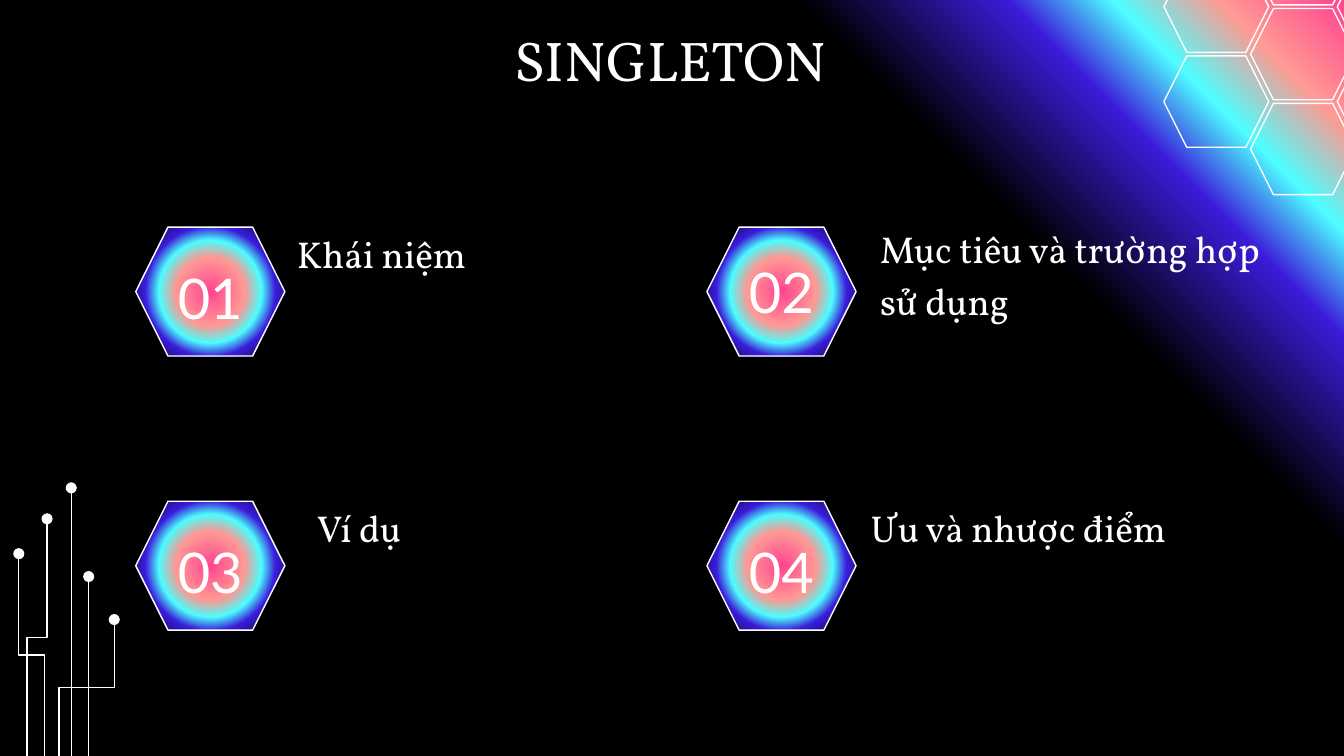
from lxml import etree
from pptx import Presentation
from pptx.dml.color import RGBColor
from pptx.enum import shapes, text
from pptx.oxml import ns
from pptx.util import Inches, Pt

WIDTH = 10
HEIGHT = WIDTH * 9 / 16
WHITE = "FFFFFF"
TITLE = "SINGLETON"

# Number, label, label box (left, top, width), number line spacing, label indent
TOPICS = [
    ("01", "Khái niệm", (2.11, 1.6, 2.55), 1.15, 0),
    ("02", "Mục tiêu và trường hợp sử dụng", (6.45, 1.95, 3.23), 1.0, 0),
    ("03", "Ví dụ", (2.11, 3.64, 2.55), 1.15, 0.15),
    ("04", "Ưu và nhược điểm", (6.38, 3.64, 2.55), 1.15, 0),
]
COLUMNS, ROWS = (1.01, 5.26), (1.69, 3.73)
BADGE = (1.11, 0.96)
NUMBER = (0.93, 0.7)

BACKGROUND_STOPS = [(0, "000000"), (74, "000000"), (84, "3A1DDB"),
                    (89, "4DFFFF"), (94, "FF9A94"), (100, "FF4491")]
BADGE_STOPS = [(0, "FF4491"), (35, "FF9A94"), (52, "4DFFFF"),
               (66, "3A1DDB"), (100, "000000")]
LINEAR = '<a:lin ang="18900000" scaled="0"/>'
RADIAL = ('<a:path path="circle"><a:fillToRect l="50000" t="50000" '
          'r="50000" b="50000"/></a:path>')

# Circuit traces: x at the bottom edge, x at the dot, y of the dot
TRACES = [(0.33, 0.14, 4.12), (0.2, 0.35, 3.86), (0.66, 0.66, 4.29),
          (0.53, 0.53, 3.63), (0.44, 0.85, 4.61)]

# Honeycomb cells: column and half-row steps
CELLS = [(1, -1), (2, 0), (1, 1), (0, 0), (2, 2), (0, 2), (1, 3)]
COMB_LEFT, COMB_TOP = 8.66, -0.29
COLUMN_STEP, HALF_ROW = 0.645, 0.353


def color(value):
    return RGBColor.from_string(value)


def box(*lengths):
    return [Inches(length) for length in lengths]


def set_gradient(parent, stops, direction):
    """Replace the solid fill of parent by a gradient."""
    items = "".join(f'<a:gs pos="{position * 1000}"><a:srgbClr val="{value}"/></a:gs>'
                    for position, value in stops)
    gradient = etree.fromstring(
        f'<a:gradFill {ns.nsdecls("a")} rotWithShape="1">'
        f'<a:gsLst>{items}</a:gsLst>{direction}</a:gradFill>')
    parent.replace(parent.find(ns.qn("a:solidFill")), gradient)


def set_line(shape):
    shape.line.color.rgb = color(WHITE)
    shape.line.width = Pt(0.75)


def add_hexagon(left, top, width, height):
    hexagon = slide.shapes.add_shape(shapes.MSO_SHAPE.HEXAGON,
                                     *box(left, top, width, height))
    hexagon.shadow.inherit = False
    set_line(hexagon)
    return hexagon


def add_trace(start_x, end_x, end_y):
    """Draw a trace upwards from the bottom edge, ending in a dot."""
    if start_x == end_x:
        trace = slide.shapes.add_connector(
            shapes.MSO_CONNECTOR.STRAIGHT, *box(start_x, HEIGHT, end_x, end_y))
    else:
        # An elbow runs sideways, so it is laid flat around its centre and turned
        center_x, center_y = (start_x + end_x) / 2, (HEIGHT + end_y) / 2
        half_run, half_rise = (HEIGHT - end_y) / 2, abs(end_x - start_x) / 2
        side, angle = (1, 270) if end_x > start_x else (-1, 90)
        trace = slide.shapes.add_connector(
            shapes.MSO_CONNECTOR.ELBOW,
            *box(center_x - side * half_run, center_y - half_rise,
                 center_x + side * half_run, center_y + half_rise))
        trace.element.spPr.find(ns.qn("a:xfrm")).set("rot", str(angle * 60000))
    set_line(trace)
    properties = trace.element.spPr
    etree.SubElement(properties.find(ns.qn("a:ln")), ns.qn("a:tailEnd"), type="oval")
    etree.SubElement(properties, ns.qn("a:effectLst"))


def write(shape, content, font, size, anchor, align, spacing=1.0):
    frame = shape.text_frame
    frame.text = content
    frame.word_wrap = True
    frame.auto_size = text.MSO_AUTO_SIZE.NONE
    frame.vertical_anchor = anchor
    frame.margin_left = frame.margin_right = Inches(0.1)
    frame.margin_top = frame.margin_bottom = Inches(0.1)
    paragraph = frame.paragraphs[0]
    paragraph.alignment = align
    paragraph.line_spacing = spacing
    paragraph.space_before = Pt(0)
    run_font = paragraph.runs[0].font
    run_font.name, run_font.size = font, Pt(size)
    run_font.color.rgb = color(WHITE)


presentation = Presentation()
presentation.slide_width, presentation.slide_height = box(WIDTH, HEIGHT)
slide = presentation.slides.add_slide(presentation.slide_layouts[5])

# Background
slide.background.fill.solid()
set_gradient(slide.element.find(".//" + ns.qn("p:bgPr")), BACKGROUND_STOPS, LINEAR)

# Decorations
for trace_points in TRACES:
    add_trace(*trace_points)
for column, half_row in CELLS:
    cell = add_hexagon(COMB_LEFT + column * COLUMN_STEP,
                       COMB_TOP + half_row * HALF_ROW, 0.78, 0.68)
    cell.fill.background()

# Title
title = slide.shapes.title
title.left, title.top, title.width, title.height = box(0.77, 0.09, 8.43, 0.63)
write(title, TITLE, "Vollkorn", 30, text.MSO_ANCHOR.TOP, text.PP_ALIGN.CENTER)

# Topics in a two by two grid
for index, (number, label, label_box, spacing, indent) in enumerate(TOPICS):
    left, top = COLUMNS[index % 2], ROWS[index // 2]
    badge = add_hexagon(left, top, *BADGE)
    badge.fill.solid()
    set_gradient(badge.element.spPr, BADGE_STOPS, RADIAL)

    number_box = slide.shapes.add_textbox(
        *box(left + (BADGE[0] - NUMBER[0]) / 2, top + (BADGE[1] - NUMBER[1]) / 2, *NUMBER))
    write(number_box, number, "Lato", 30, text.MSO_ANCHOR.MIDDLE,
          text.PP_ALIGN.CENTER, spacing)

    label_shape = slide.shapes.add_textbox(*box(*label_box, 0.55))
    write(label_shape, label, "Vollkorn", 20, text.MSO_ANCHOR.BOTTOM,
          text.PP_ALIGN.LEFT, 1.15)
    if indent:
        label_shape.element.find(".//" + ns.qn("a:pPr")).set("indent", str(Inches(indent)))

presentation.save("out.pptx")
